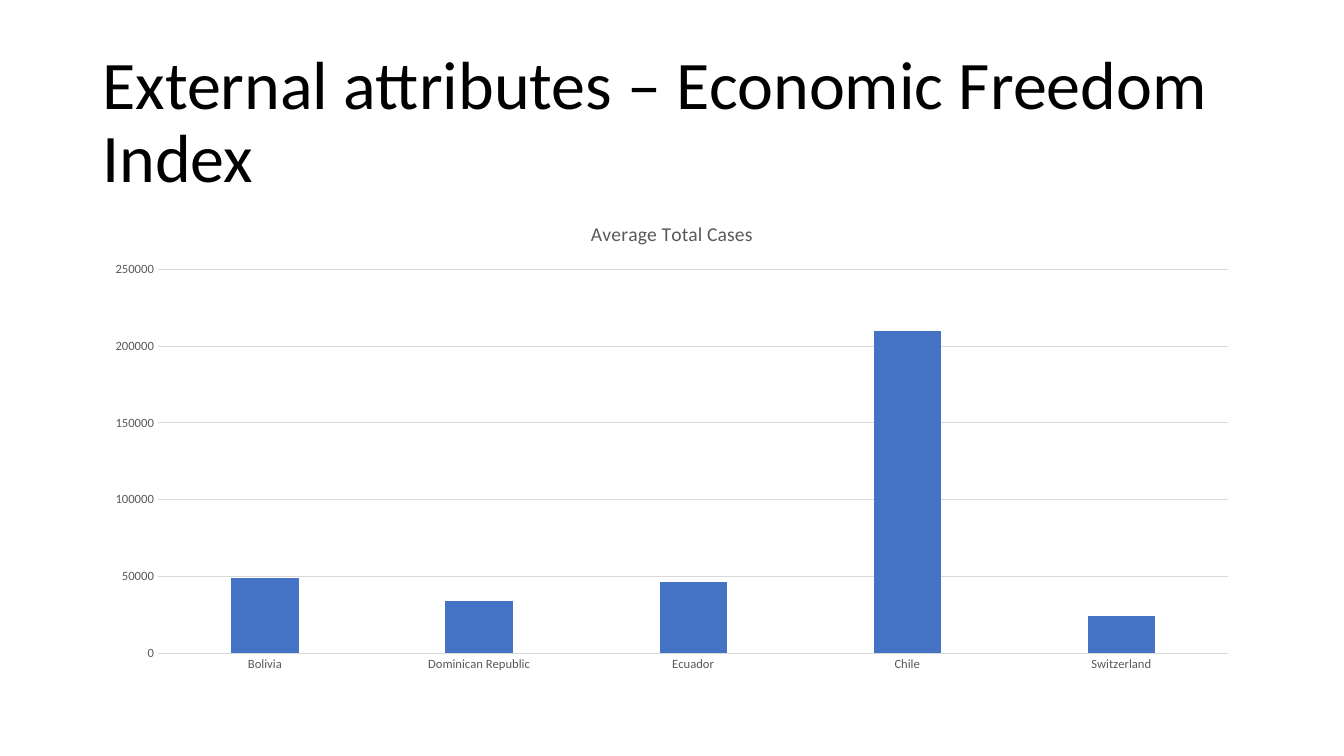
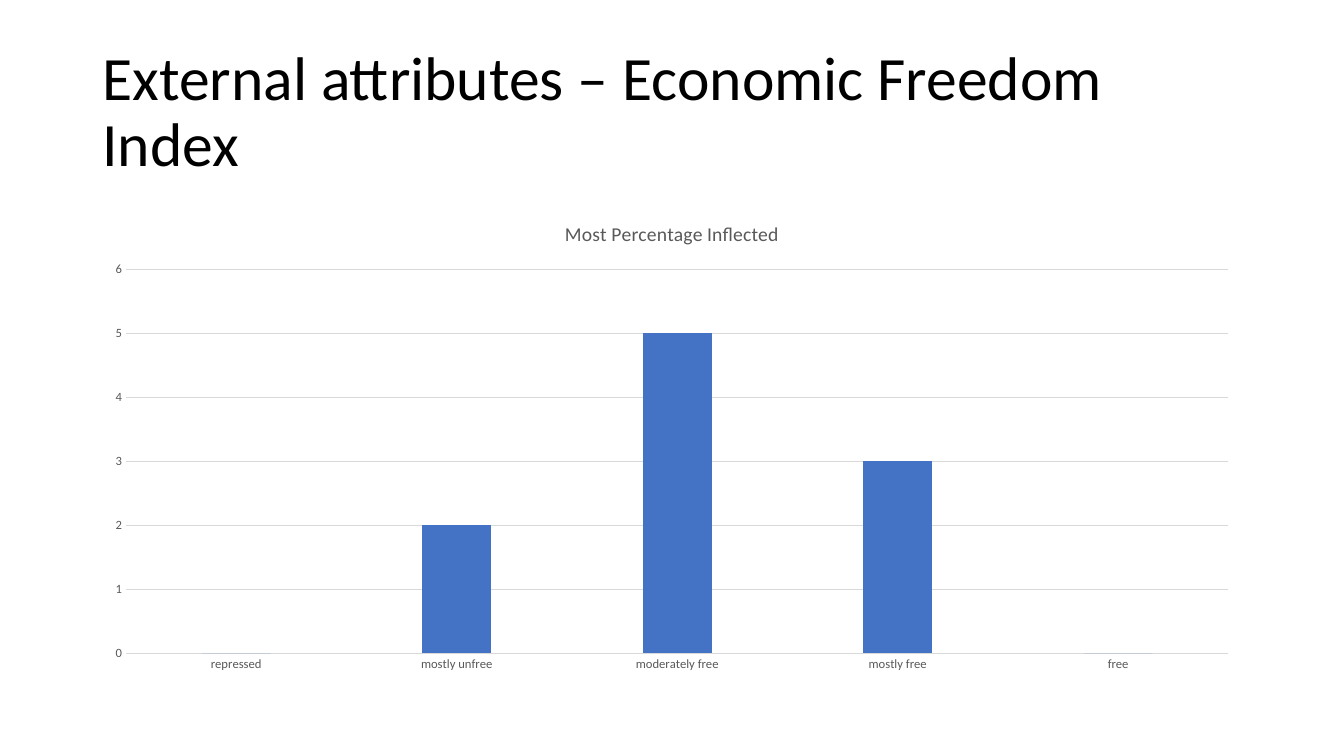
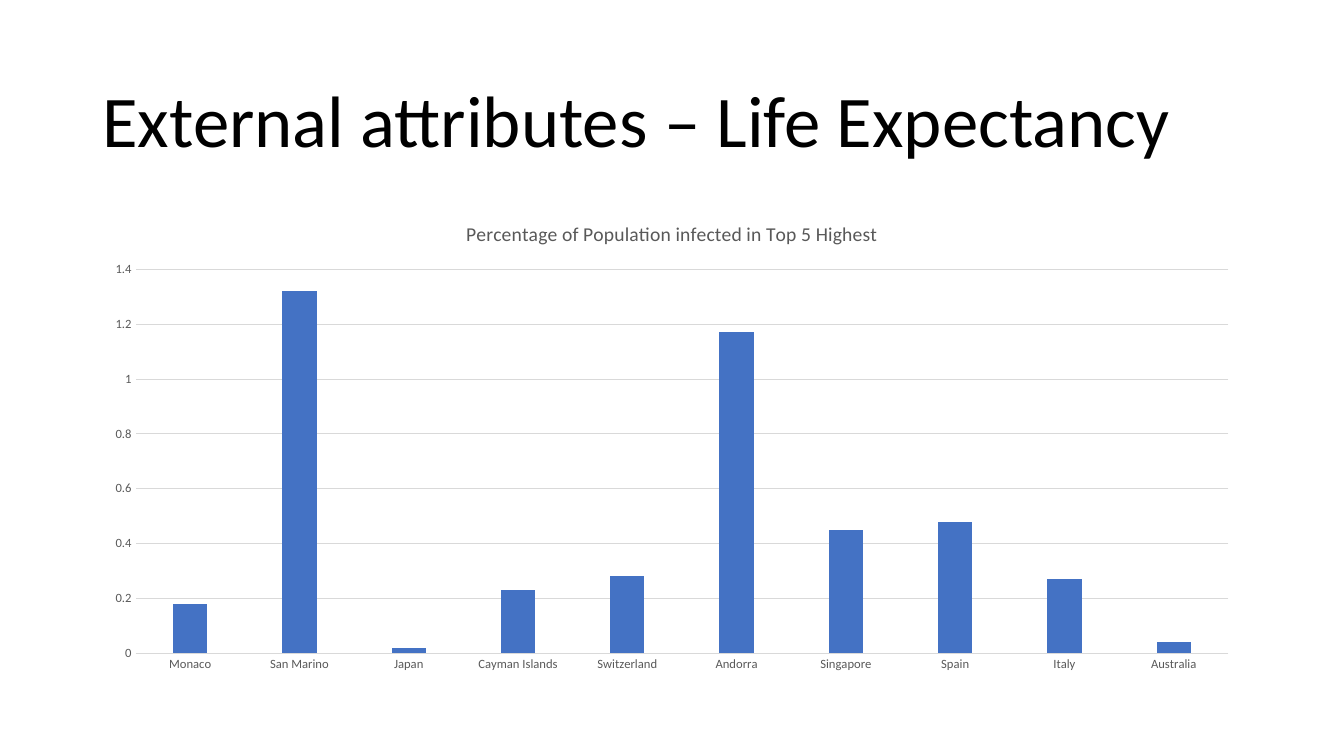
import pptx
import pptx.util
import pptx.chart.data
import pptx.dml.color
import pptx.enum.chart
import pptx.enum.text

Pt = pptx.util.Pt
colors = {"title": "000000", "label": "595959", "grid": "D9D9D9", "bar": "4472C4"}
LEFT, WIDTH = 66, 828
CHART_TOP, CHART_HEIGHT = 144, 342.72
TITLE_BOTTOM = 133.2


def apply_format(target, values):
    for name, value in values.items():
        setattr(target, name, value)


def apply_font(font, size, color):
    apply_format(font, {"name": "Calibri", "size": Pt(size), "bold": False})
    font.color.rgb = pptx.dml.color.RGBColor.from_string(colors[color])


topics = [
    {
        "heading": "External attributes – Economic Freedom Index",
        "top": 43.92, "size": 48.6,
        "measure": "Average Total Cases", "series": "Average Total Cases",
        "maximum": 250000, "step": 50000,
        "values": {"Bolivia": 49000, "Dominican Republic": 34000, "Ecuador": 46000,
                   "Chile": 210000, "Switzerland": 24000},
    },
    {
        "heading": "External attributes – Economic Freedom Index",
        "top": 28.8, "size": 44,
        "measure": "Most Percentage Inflected", "series": "Most Percentage Inflected",
        "maximum": 6, "step": 1,
        "values": {"repressed": 0, "mostly unfree": 2, "moderately free": 5,
                   "mostly free": 3, "free": 0},
    },
    {
        "heading": "External attributes – Life Expectancy",
        "top": 43.92, "size": 52,
        "measure": "Percentage of Population infected in Top 5 Highest", "series": "Series 1",
        "maximum": 1.4, "step": 0.2,
        "values": {"Monaco": 0.18, "San Marino": 1.32, "Japan": 0.02, "Cayman Islands": 0.23,
                   "Switzerland": 0.28, "Andorra": 1.17, "Singapore": 0.45, "Spain": 0.48,
                   "Italy": 0.27, "Australia": 0.04},
    },
]

deck = pptx.Presentation()
apply_format(deck, {"slide_width": Pt(960), "slide_height": Pt(540)})

for topic in topics:
    slide = deck.slides.add_slide(deck.slide_layouts[6])

    heading = slide.shapes.add_textbox(
        Pt(LEFT), Pt(topic["top"]), Pt(WIDTH), Pt(TITLE_BOTTOM - topic["top"])).text_frame
    apply_format(heading, {"word_wrap": True,
                           "vertical_anchor": pptx.enum.text.MSO_ANCHOR.MIDDLE})
    heading_line = heading.paragraphs[0]
    heading_line.line_spacing = 0.9
    heading_run = heading_line.add_run()
    heading_run.text = topic["heading"]
    apply_font(heading_run.font, topic["size"], "title")

    figures = pptx.chart.data.CategoryChartData(number_format="General")
    figures.categories = list(topic["values"])
    figures.add_series(topic["series"], list(topic["values"].values()))
    chart = slide.shapes.add_chart(
        pptx.enum.chart.XL_CHART_TYPE.COLUMN_CLUSTERED,
        Pt(LEFT), Pt(CHART_TOP), Pt(WIDTH), Pt(CHART_HEIGHT), figures).chart
    apply_format(chart, {"has_legend": False, "has_title": True})
    apply_font(chart.font, 10, "title")

    measure = chart.chart_title.text_frame.paragraphs[0].add_run()
    measure.text = topic["measure"]
    apply_font(measure.font, 14, "label")
    chart.chart_title.include_in_layout = False

    columns = chart.plots[0]
    apply_format(columns, {"gap_width": 219, "overlap": -27, "vary_by_categories": False})
    bar_fill = columns.series[0].format.fill
    bar_fill.solid()
    bar_fill.fore_color.rgb = pptx.dml.color.RGBColor.from_string(colors["bar"])

    for axis in (chart.category_axis, chart.value_axis):
        apply_format(axis, {"major_tick_mark": pptx.enum.chart.XL_TICK_MARK.NONE,
                            "minor_tick_mark": pptx.enum.chart.XL_TICK_MARK.NONE})
        apply_font(axis.tick_labels.font, 9, "label")
    apply_format(chart.value_axis, {"minimum_scale": 0, "maximum_scale": topic["maximum"],
                                    "major_unit": topic["step"], "has_major_gridlines": True})
    chart.value_axis.format.line.fill.background()
    for line in (chart.category_axis.format.line, chart.value_axis.major_gridlines.format.line):
        line.width = Pt(0.75)
        line.color.rgb = pptx.dml.color.RGBColor.from_string(colors["grid"])

deck.save("out.pptx")
